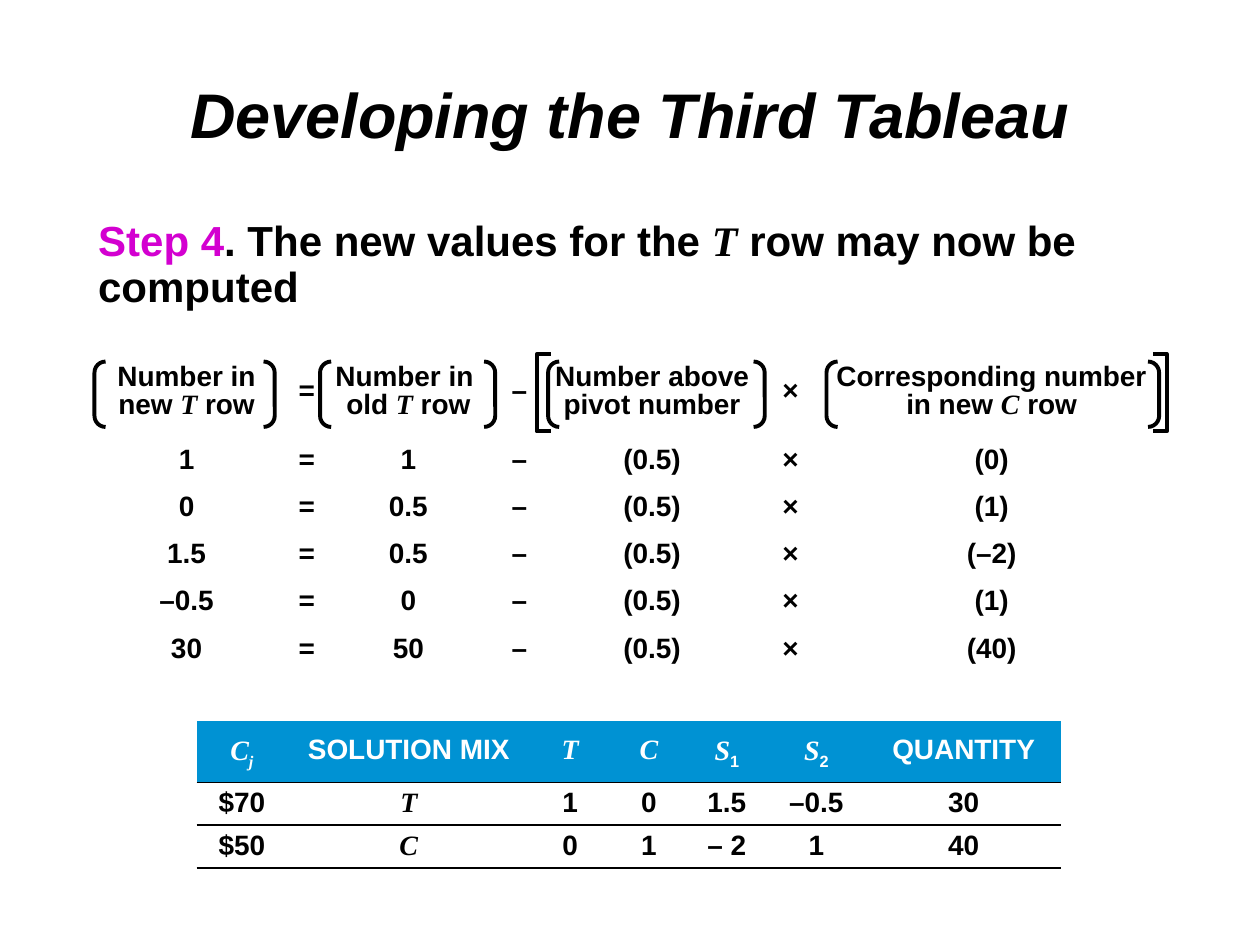
from dataclasses import dataclass
from typing import Any

from lxml.etree import SubElement
from pptx import Presentation
from pptx.dml.color import RGBColor
from pptx.enum.shapes import MSO_SHAPE
from pptx.enum.text import MSO_ANCHOR, MSO_AUTO_SIZE, PP_ALIGN
from pptx.oxml.ns import qn
from pptx.util import Pt


@dataclass(frozen=True)
class Theme:
    """Colours, fonts, type sizes and line widths of the slide."""

    ink: RGBColor = RGBColor(0x00, 0x00, 0x00)
    accent: RGBColor = RGBColor(0xD3, 0x00, 0xD0)
    header_fill: RGBColor = RGBColor(0x00, 0x92, 0xD3)
    header_ink: RGBColor = RGBColor(0xFF, 0xFF, 0xFF)
    sans: str = "Arial"
    serif: str = "Times New Roman"
    title_size: float = 36
    step_size: float = 24
    cell_size: float = 16
    line_spacing: float = 0.9
    bracket_line: float = 2.25
    rule_line: float = 1.08
    plain_style: str = "{2D5ABB26-0587-4C30-8999-92F81FD0307C}"


@dataclass(frozen=True)
class Span:
    """A stretch of text in one format; a line break may come before it."""

    text: str
    symbol: bool = False
    subscript: bool = False
    accent: bool = False
    new_line: bool = False


@dataclass(frozen=True)
class Grid:
    """A table: its corner, column widths, row heights and cell contents."""

    left: float
    top: float
    columns: tuple[float, ...]
    heights: tuple[float, ...]
    cells: list[list[tuple[Span, ...]]]
    filled_header: bool = False


@dataclass(frozen=True)
class Bracket:
    """A rounded bracket pair, placed by its left edge and width."""

    left: float
    width: float


THEME = Theme()
BRACKET_TOP, BRACKET_HEIGHT = 206.6, 37.4
SQUARE_TOP, SQUARE_HEIGHT, SQUARE_ARM = 202.3, 44.2, 7.9
BRACKETS = [Bracket(54, 103), Bracket(182.9, 100.1), Bracket(313.2, 123.8), Bracket(472.3, 190.1)]

ROW_RESULTS = [
    ("1", "1", "(0)"),
    ("0", "0.5", "(1)"),
    ("1.5", "0.5", "(–2)"),
    ("–0.5", "0", "(1)"),
    ("30", "50", "(40)"),
]


def plain(*texts: str) -> list[tuple[Span, ...]]:
    """Turn each text into the content of one ordinary cell."""
    return [(Span(text),) for text in texts]


def symbol(letter: str) -> tuple[Span, ...]:
    """Return the content of a cell that holds one variable."""
    return (Span(letter, symbol=True),)


FORMULA = Grid(
    left=49.7,
    top=198.7,
    columns=(113.8, 18, 103.7, 20.2, 134.6, 22.3, 208.8),
    heights=(51.1,) + (27,) * len(ROW_RESULTS),
    cells=[
        [
            (Span("Number in new "), Span("T", symbol=True), Span(" row")),
            *plain("="),
            (Span("Number in "), Span("old ", new_line=True), Span("T", symbol=True), Span(" row")),
            *plain("–", "Number above pivot number", "×"),
            (Span("Corresponding number in new "), Span("C", symbol=True), Span(" row")),
        ],
        *(plain(new, "=", old, "–", "(0.5)", "×", factor) for new, old, factor in ROW_RESULTS),
    ],
)

TABLEAU = Grid(
    left=112.3,
    top=411.8,
    columns=(51.8, 139, 45.4, 44.6, 44.6, 57.6, 110.9),
    heights=(35.3, 24.5, 24.5),
    cells=[
        [
            (Span("C", symbol=True), Span("j", symbol=True, subscript=True)),
            *plain("SOLUTION MIX"),
            symbol("T"),
            symbol("C"),
            (Span("S", symbol=True), Span("1", subscript=True)),
            (Span("S", symbol=True), Span("2", subscript=True)),
            *plain("QUANTITY"),
        ],
        [*plain("$70"), symbol("T"), *plain("1", "0", "1.5", "–0.5", "30")],
        [*plain("$50"), symbol("C"), *plain("0", "1", "– 2", "1", "40")],
    ],
    filled_header=True,
)


def add_spans(para: Any, spans: tuple[Span, ...], size: float, color: RGBColor) -> None:
    """Add bold runs to a paragraph, one for each span."""
    for span in spans:
        if span.new_line:
            para.add_line_break()
        run = para.add_run()
        run.text = span.text
        run.font.name = THEME.serif if span.symbol else THEME.sans
        run.font.size = Pt(size)
        run.font.bold = True
        run.font.italic = span.symbol
        run.font.color.rgb = THEME.accent if span.accent else color
        if span.subscript:
            run.font._element.set("baseline", "-25000")


def draw_title(page: Any, text: str) -> None:
    """Place and format the title placeholder."""
    title = page.shapes.title
    title.left, title.top, title.width, title.height = Pt(0), Pt(43.2), Pt(720), Pt(46.8)
    title.text_frame.auto_size = MSO_AUTO_SIZE.NONE
    title.text_frame.vertical_anchor = MSO_ANCHOR.BOTTOM
    para = title.text_frame.paragraphs[0]
    para.alignment = PP_ALIGN.CENTER
    add_spans(para, (Span(text),), THEME.title_size, THEME.ink)
    para.runs[0].font.italic = True


def draw_step(page: Any, spans: tuple[Span, ...]) -> None:
    """Draw the sentence that introduces the step."""
    box = page.shapes.add_textbox(Pt(49), Pt(122.4), Pt(620.6), Pt(59))
    box.text_frame.word_wrap = True
    para = box.text_frame.paragraphs[0]
    para.line_spacing = THEME.line_spacing
    add_spans(para, spans, THEME.step_size, THEME.ink)


def draw_rule(cell: Any, side: str) -> None:
    """Rule one side of a cell, named lnT or lnB."""
    line = SubElement(cell._tc.get_or_add_tcPr(), qn(f"a:{side}"), w=str(int(Pt(THEME.rule_line))))
    line.getparent().insert(0, line)
    SubElement(SubElement(line, qn("a:solidFill")), qn("a:srgbClr"), val=str(THEME.ink))


def draw_grid(page: Any, grid: Grid) -> Any:
    """Draw a table and return it."""
    frame = page.shapes.add_table(
        len(grid.heights), len(grid.columns), Pt(grid.left), Pt(grid.top),
        Pt(sum(grid.columns)), Pt(sum(grid.heights)),
    )
    table = frame.table
    table.first_row = table.horz_banding = False
    table._tbl.tblPr.find(qn("a:tableStyleId")).text = THEME.plain_style
    for column, width in zip(table.columns, grid.columns):
        column.width = Pt(width)
    for number, (row, height) in enumerate(zip(table.rows, grid.heights)):
        row.height = Pt(height)
        filled = grid.filled_header and number == 0
        for cell, spans in zip(row.cells, grid.cells[number]):
            cell.vertical_anchor = MSO_ANCHOR.MIDDLE
            if filled:
                cell.fill.solid()
                cell.fill.fore_color.rgb = THEME.header_fill
            else:
                cell.fill.background()
            para = cell.text_frame.paragraphs[0]
            para.alignment = PP_ALIGN.CENTER
            para.line_spacing = THEME.line_spacing
            add_spans(para, spans, THEME.cell_size, THEME.header_ink if filled else THEME.ink)
    return table


def outline(shape: Any) -> None:
    """Give a bracket its line and take away fill and shadow."""
    shape.shadow.inherit = False
    shape.fill.background()
    shape.line.color.rgb = THEME.ink
    shape.line.width = Pt(THEME.bracket_line)


def draw_round_bracket(group: Any, bracket: Bracket) -> None:
    """Draw a rounded bracket pair around one term."""
    shape = group.shapes.add_shape(
        MSO_SHAPE.DOUBLE_BRACKET, Pt(bracket.left), Pt(BRACKET_TOP), Pt(bracket.width), Pt(BRACKET_HEIGHT)
    )
    shape.adjustments[0] = 0.17
    outline(shape)


def draw_square_bracket(group: Any, spine: float, arm: float) -> None:
    """Draw a square bracket with its spine at one x and arms of a signed length."""
    top, bottom, tip = Pt(SQUARE_TOP), Pt(SQUARE_TOP + SQUARE_HEIGHT), Pt(spine + arm)
    builder = group.shapes.build_freeform(tip, top)
    builder.add_line_segments([(Pt(spine), top), (Pt(spine), bottom), (tip, bottom)], close=False)
    outline(builder.convert_to_shape())


def main() -> None:
    """Build the slide and save it."""
    deck = Presentation()
    deck.slide_width, deck.slide_height = Pt(720), Pt(540)
    page = deck.slides.add_slide(deck.slide_layouts[5])
    draw_title(page, "Developing the Third Tableau")
    draw_step(page, (
        Span("Step 4", accent=True), Span(". The new values for the "),
        Span("T", symbol=True), Span(" row may now be computed"),
    ))
    draw_grid(page, FORMULA)
    group = page.shapes.add_group_shape()
    for bracket in BRACKETS:
        draw_round_bracket(group, bracket)
    draw_square_bracket(group, 306.7, SQUARE_ARM)
    draw_square_bracket(group, 666.7, -SQUARE_ARM)
    tableau = draw_grid(page, TABLEAU)
    for row, side in ((1, "lnT"), (2, "lnB")):
        for cell in tableau.rows[row].cells:
            draw_rule(cell, side)
    deck.save("out.pptx")


if __name__ == "__main__":
    main()
